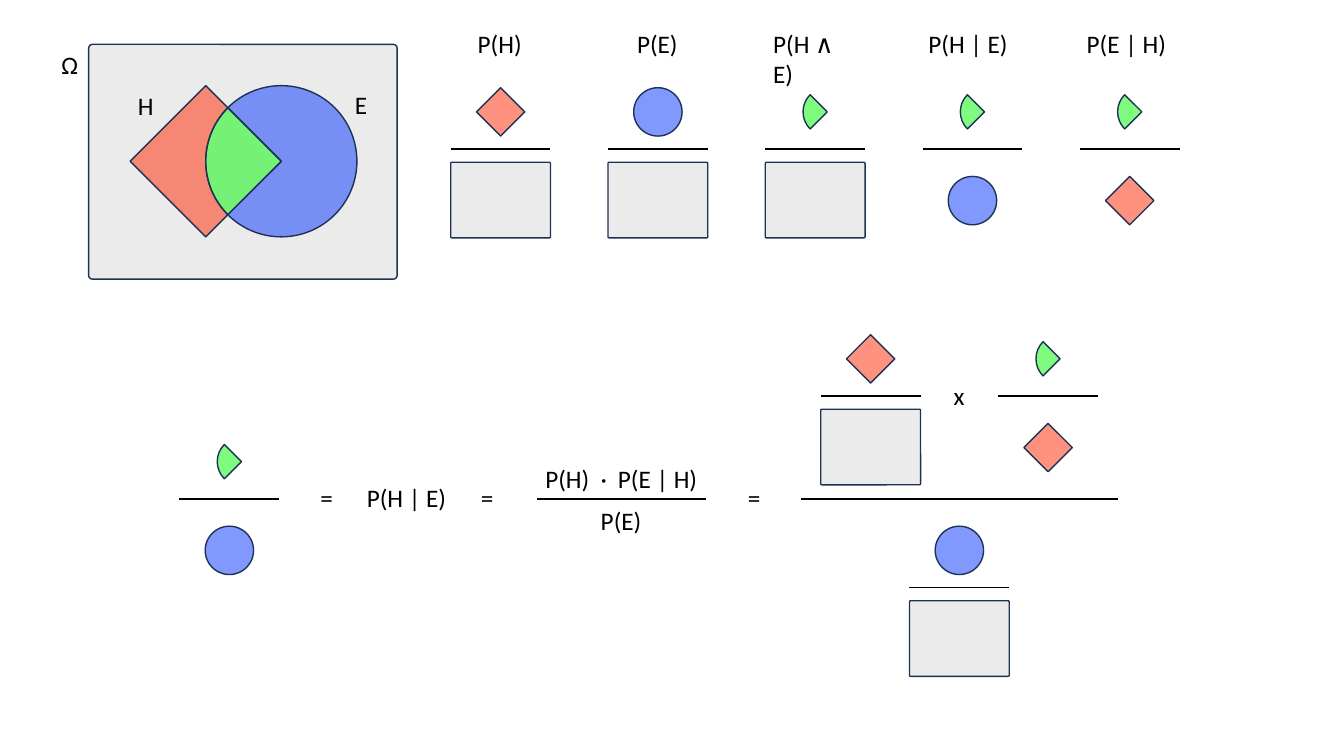
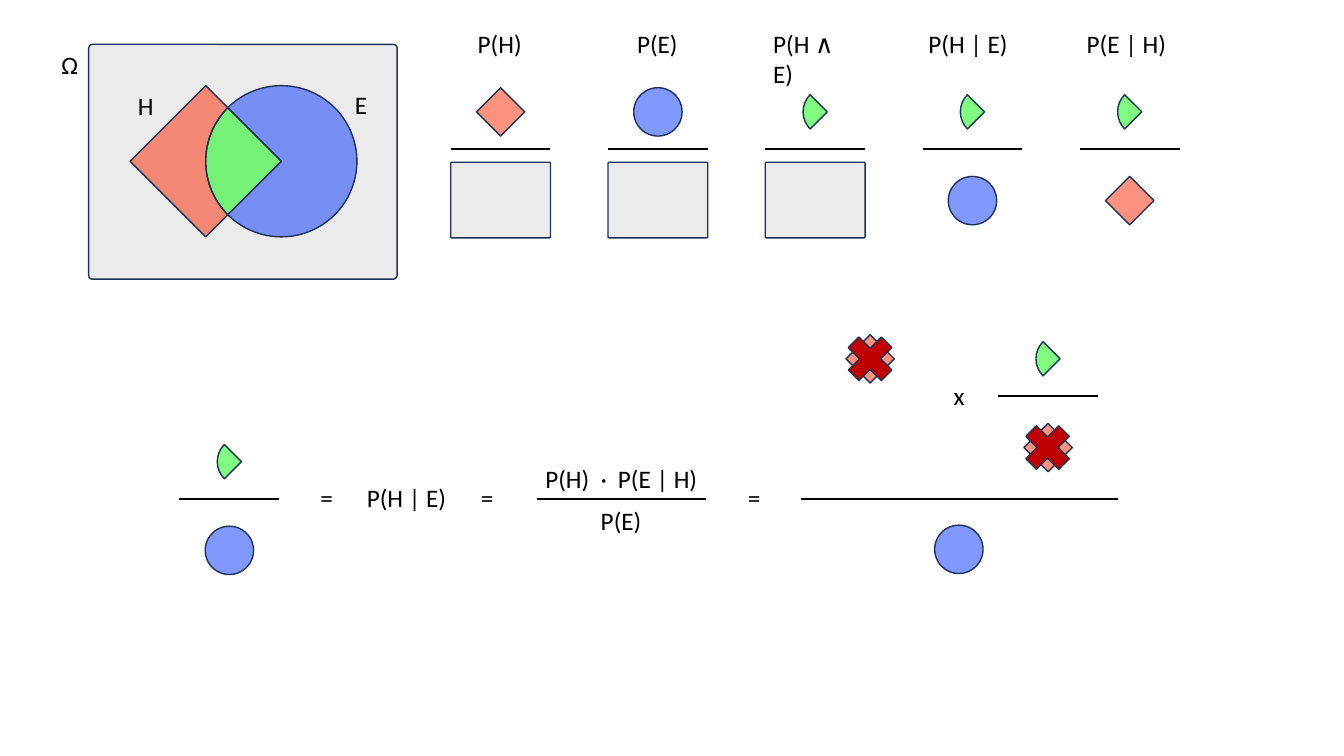
from math import cos, radians, sin, tan

from lxml import etree
from pptx import Presentation
from pptx.dml.color import RGBColor
from pptx.enum.shapes import MSO_CONNECTOR, MSO_SHAPE
from pptx.oxml.ns import qn
from pptx.util import Pt

STRAIGHT = MSO_CONNECTOR.STRAIGHT
ROUNDED = MSO_SHAPE.ROUNDED_RECTANGLE
DIAMOND = MSO_SHAPE.DIAMOND
OVAL = MSO_SHAPE.OVAL
CROSS = MSO_SHAPE.MATH_MULTIPLY

EMU_PER_PX = 9144  # 100 px to the inch
FONT, FONT_SIZE = "Calibri", 18
BLACK, OUTLINE = "000000", "1E3256"
RED, BLUE, GREEN, GREY, CROSS_RED = "FF2600", "0432FF", "00FA00", "D9D9D9", "C00000"

BAR_WIDTH = 99
BOX_HEIGHT = 75
ICON_SIZE = 48
CROSS_SIZE = 63
NUMERATOR_RISE = 37
DENOMINATOR_DROP = 51
BOX_DROP = 13
ARC_STEP = 45

COLUMN_LEFT, COLUMN_PITCH = 447, 156
COLUMNS = [  # label, label left, label width, wraps, numerator, denominator
    ("P(H)", 464, 64, False, "H", "all"),
    ("P(E)", 622, 61, False, "E", "all"),
    ("P(H ∧ E)", 757, 100, True, "both", "all"),
    ("P(H | E)", 911, 100, False, "both", "E"),
    ("P(E | H)", 1068, 100, False, "both", "H"),
]
FORMULA = [  # text, left, top, width, tab stops
    ("=\tP(H | E)\t=", 308, 474, 205, (46, 159)),
    ("P(H)\t·\tP(E | H)", 531, 455, 185, (55, 72)),
    ("P(E)", 586, 496, 61, ()),
    ("=", 732, 474, 33, ()),
    ("x", 936, 372, 31, ()),
]


def px(value):
    return round(value * EMU_PER_PX)


def color(hex_string):
    return RGBColor.from_string(hex_string)


def arc(center_x, center_y, radius, start, end):
    """Start point and Bézier points of an arc, in degrees clockwise from the right."""
    step = ARC_STEP if end > start else -ARC_STEP
    pull = 4 / 3 * tan(radians(step / 4))

    def point(angle, tangent=0):
        cosine, sine = cos(radians(angle)), sin(radians(angle))
        return (center_x + radius * (cosine - tangent * sine),
                center_y + radius * (sine + tangent * cosine))

    points = [point(start)]
    for angle in range(start, end, step):
        following = angle + step
        points += [point(angle, pull), point(following, -pull), point(following)]
    return points


class Canvas:
    def __init__(self, presentation):
        self.presentation = presentation
        self.slide = None

    def new_slide(self):
        self.slide = self.presentation.slides.add_slide(
            self.presentation.slide_layouts[6])

    def paint(self, shape, fill, opacity=50):
        shape.shadow.inherit = False
        shape.fill.solid()
        shape.fill.fore_color.rgb = color(fill)
        if opacity < 100:
            solid_fill = shape._element.spPr.find(qn("a:solidFill"))
            alpha = etree.SubElement(solid_fill[0], qn("a:alpha"))
            alpha.set("val", str(opacity * 1000))
        shape.line.color.rgb = color(OUTLINE)
        shape.line.width = Pt(1)

    def shape(self, kind, left, top, width, height, fill, opacity=50):
        shape = self.slide.shapes.add_shape(
            kind, px(left), px(top), px(width), px(height))
        if kind == ROUNDED:
            shape.adjustments[0] = 0.016
        self.paint(shape, fill, opacity)

    def centered(self, kind, center_x, center_y, size, fill, opacity=50):
        self.shape(kind, center_x - size / 2, center_y - size / 2,
                   size, size, fill, opacity)

    def outline(self, corners, arc_points, fill):
        """Close a shape that runs through the corners, then along the arc."""
        first, *others = [(px(x), px(y)) for x, y in corners + arc_points]
        builder = self.slide.shapes.build_freeform(*first)
        builder.add_line_segments(others, close=True)
        shape = builder.convert_to_shape()
        segments = list(shape._element.iter(qn("a:lnTo")))[len(corners):]
        for index in range(0, len(arc_points) - 1, 3):
            curve = etree.Element(qn("a:cubicBezTo"))
            segments[index].addprevious(curve)
            for segment in segments[index:index + 3]:
                curve.append(segment[0])
                segment.getparent().remove(segment)
        self.paint(shape, fill)

    def sector(self, apex_x, apex_y, radius, start, end, fill):
        self.outline([(apex_x, apex_y)], arc(apex_x, apex_y, radius, start, end), fill)

    def bar(self, left, y, width=BAR_WIDTH):
        connector = self.slide.shapes.add_connector(
            STRAIGHT, px(left), px(y), px(left + width), px(y))
        connector.line.color.rgb = color(BLACK)
        connector.line.width = Pt(1)
        etree.SubElement(connector._element.spPr, qn("a:effectLst"))

    def text(self, content, left, top, width, wraps=False, tab_stops=()):
        box = self.slide.shapes.add_textbox(px(left), px(top), px(width), px(40))
        box.text_frame.word_wrap = wraps
        box.text_frame.text = content
        paragraph = box.text_frame.paragraphs[0]
        if tab_stops:
            properties = paragraph._p.get_or_add_pPr()
            tab_list = etree.SubElement(properties, qn("a:tabLst"))
            for position in tab_stops:
                etree.SubElement(tab_list, qn("a:tab"), pos=str(px(position)), algn="l")
        for run in paragraph.runs:
            run.font.name, run.font.size = FONT, Pt(FONT_SIZE)
            run.font.color.rgb = color(BLACK)

    def icon(self, event, center_x, center_y):
        if event == "H":
            self.centered(DIAMOND, center_x, center_y, ICON_SIZE, RED)
        elif event == "E":
            self.centered(OVAL, center_x, center_y, ICON_SIZE, BLUE)
        else:
            self.sector(center_x + 12, center_y, ICON_SIZE / 2, 135, 225, GREEN)

    def fraction(self, left, bar_y, numerator, denominator):
        center_x = left + BAR_WIDTH / 2
        self.icon(numerator, center_x, bar_y - NUMERATOR_RISE)
        if denominator == "all":
            self.shape(ROUNDED, left, bar_y + BOX_DROP, BAR_WIDTH, BOX_HEIGHT, GREY)
        else:
            self.icon(denominator, center_x, bar_y + DENOMINATOR_DROP)
        self.bar(left, bar_y)

    def venn_diagram(self):
        """The circle is centred on the right corner of the diamond."""
        diamond_x, circle_x, middle_y, radius = 204, 279, 160, 75
        self.shape(ROUNDED, 88, 44, 306, 233, GREY)
        self.sector(circle_x, middle_y, radius, 135, 225, GREEN)
        self.outline([(diamond_x, middle_y + radius),
                      (diamond_x - radius, middle_y),
                      (diamond_x, middle_y - radius)],
                     arc(circle_x, middle_y, radius, 225, 135), RED)
        self.sector(circle_x, middle_y, radius, -135, 135, BLUE)
        self.text("H", 127, 85, 36)
        self.text("E", 342, 84, 32)
        self.text("Ω", 51, 44, 37)

    def definitions(self):
        for index, column in enumerate(COLUMNS):
            label, left, width, wraps, numerator, denominator = column
            self.text(label, left, 23, width, wraps)
            self.fraction(COLUMN_LEFT + index * COLUMN_PITCH, 148,
                          numerator, denominator)

    def bayes_formula(self, cancelled):
        """Draw the lower equation, with the shared terms crossed out if cancelled."""
        self.fraction(178, 495, "both", "E")
        self.bar(533, 495, 167)
        self.bar(794, 495, 315)
        for content, left, top, width, tab_stops in FORMULA:
            self.text(content, left, top, width, bool(tab_stops), tab_stops)
        self.fraction(990, 393, "both", "H")
        if cancelled:
            self.icon("H", 863, 356)
            self.icon("E", 951, 545)
            for center_x, center_y in [(863, 356), (1039, 444)]:
                self.centered(CROSS, center_x, center_y, CROSS_SIZE, CROSS_RED, 100)
        else:
            self.fraction(814, 393, "H", "all")
            self.fraction(902, 583, "E", "all")


def main():
    presentation = Presentation()
    presentation.slide_width, presentation.slide_height = px(1333), px(750)
    canvas = Canvas(presentation)
    for cancelled in (False, True):
        canvas.new_slide()
        canvas.venn_diagram()
        canvas.definitions()
        canvas.bayes_formula(cancelled)
    presentation.save("out.pptx")


if __name__ == "__main__":
    main()
